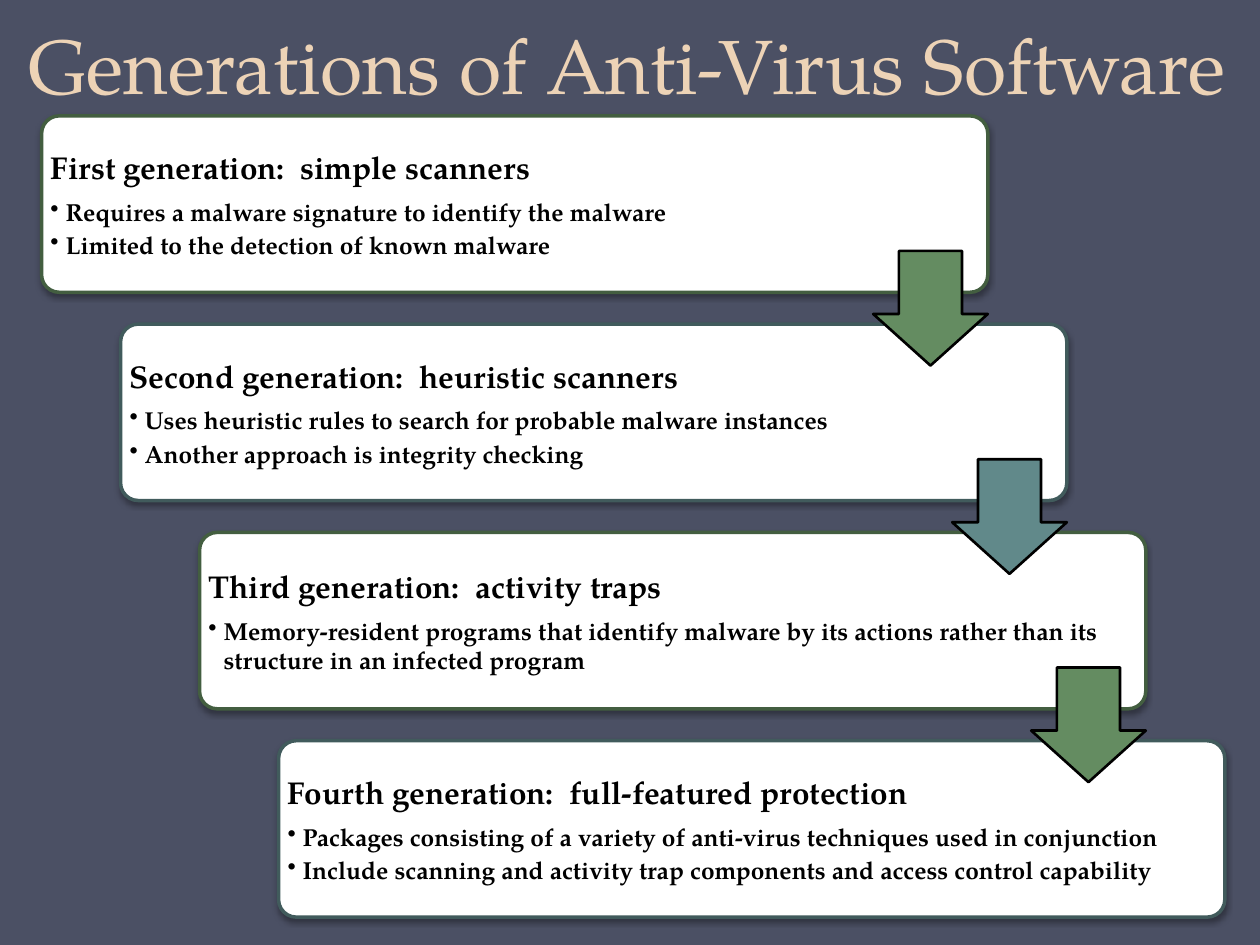
import dataclasses

import lxml.etree
import pptx
import pptx.dml.color
import pptx.enum.shapes
import pptx.enum.text
import pptx.oxml.ns
import pptx.util

SHAPES = pptx.enum.shapes.MSO_SHAPE
ANCHOR = pptx.enum.text.MSO_ANCHOR
ALIGN = pptx.enum.text.PP_ALIGN
Inches = pptx.util.Inches
Pt = pptx.util.Pt


@dataclasses.dataclass(frozen=True)
class Theme:
    font: str = "TeX Gyre Pagella"
    background: str = "4B5064"
    title: str = "EDD3B6"
    ink: str = "000000"
    card: str = "FFFFFF"
    title_size: int = 44
    heading_size: int = 18
    bullet_size: int = 14


@dataclasses.dataclass(frozen=True)
class Accent:
    border: str
    arrow: str


@dataclasses.dataclass(frozen=True)
class Generation:
    heading: str
    bullets: tuple[str, ...]


@dataclasses.dataclass(frozen=True)
class Staircase:
    """Cards of equal size, each one step right of and below the last (inches)."""
    left: float = 0.33
    top: float = 0.92
    step_x: float = 0.627
    step_y: float = 1.653
    width: float = 7.51
    height: float = 1.4
    arrow: float = 0.91

    def card(self, row: int) -> tuple[float, float, float, float]:
        return (self.left + row * self.step_x, self.top + row * self.step_y,
                self.width, self.height)

    def arrow_below(self, row: int) -> tuple[float, float, float, float]:
        """Flush with the card's right side, centred on the gap to the next card."""
        left, top, width, height = self.card(row)
        gap_middle = top + (height + self.step_y) / 2
        return (left + width - self.arrow, gap_middle - self.arrow / 2,
                self.arrow, self.arrow)


THEME = Theme()
STAIRS = Staircase()
GREEN = Accent("435E40", "648C61")
TEAL = Accent("415B5C", "61898A")
ACCENTS = (GREEN, TEAL)

GENERATIONS = (
    Generation("First generation:  simple scanners", (
        "Requires a malware signature to identify the malware",
        "Limited to the detection of known malware")),
    Generation("Second generation:  heuristic scanners", (
        "Uses heuristic rules to search for probable malware instances",
        "Another approach is integrity checking")),
    Generation("Third generation:  activity traps", (
        "Memory-resident programs that identify malware by its actions "
        "rather than its structure in an infected program",)),
    Generation("Fourth generation:  full-featured protection", (
        "Packages consisting of a variety of anti-virus techniques used in conjunction",
        "Include scanning and activity trap components and access control capability")),
)


def rgb(value: str) -> pptx.dml.color.RGBColor:
    return pptx.dml.color.RGBColor.from_string(value)


def add_child(parent, tag: str, **attributes: object):
    child = lxml.etree.SubElement(parent, pptx.oxml.ns.qn(tag))
    for name, value in attributes.items():
        child.set(name, str(value))
    return child


def add_span(para, text: str, size: int, color: str, bold: bool = False) -> None:
    span = para.add_run()
    span.text = text
    span.font.name = THEME.font
    span.font.size = Pt(size)
    span.font.bold = bold
    span.font.color.rgb = rgb(color)


def add_outlined(page, kind, place: tuple[float, float, float, float],
                 adjustments: tuple[float, ...], fill: str, line: str, weight: float):
    shape = page.shapes.add_shape(kind, *map(Inches, place))
    for index, value in enumerate(adjustments):
        shape.adjustments[index] = value
    shape.shadow.inherit = False
    shape.fill.solid()
    shape.fill.fore_color.rgb = rgb(fill)
    shape.line.color.rgb = rgb(line)
    shape.line.width = Pt(weight)
    return shape


def cast_shadow(shape) -> None:
    effects = shape._element.spPr.find(pptx.oxml.ns.qn("a:effectLst"))
    shadow = add_child(effects, "a:outerShdw", blurRad=Pt(3.1), dist=Pt(1.8),
                       dir=90 * 60000, rotWithShape=0)
    color = add_child(shadow, "a:srgbClr", val=THEME.ink)
    add_child(color, "a:alpha", val=35000)


def make_bullet(para) -> None:
    properties = para._p.get_or_add_pPr()
    properties.set("lvl", "1")
    properties.set("marL", str(Inches(0.12)))
    properties.set("indent", str(-Inches(0.12)))
    add_child(properties, "a:buChar", char="•")


def add_title(page, text: str) -> None:
    box = page.shapes.add_textbox(Inches(-0.02), 0, Inches(10), Inches(0.92))
    frame = box.text_frame
    frame.word_wrap = True
    frame.vertical_anchor = ANCHOR.BOTTOM
    para = frame.paragraphs[0]
    para.alignment = ALIGN.CENTER
    para.line_spacing = Pt(58)
    add_span(para, text, THEME.title_size, THEME.title)


def add_card(page, row: int, generation: Generation, accent: Accent) -> None:
    card = add_outlined(page, SHAPES.ROUNDED_RECTANGLE, STAIRS.card(row), (0.1,),
                        THEME.card, accent.border, 2)
    cast_shadow(card)
    frame = card.text_frame
    frame.word_wrap = True
    frame.vertical_anchor = ANCHOR.MIDDLE
    # The rounded corners already inset the text by 0.04
    frame.margin_left = frame.margin_right = Inches(0.03)
    frame.margin_top = frame.margin_bottom = Inches(0.03)

    para = frame.paragraphs[0]
    para.alignment = ALIGN.LEFT
    para.space_after = Pt(0.35 * THEME.heading_size)
    add_span(para, generation.heading, THEME.heading_size, THEME.ink, bold=True)
    for bullet in generation.bullets:
        para = frame.add_paragraph()
        para.alignment = ALIGN.LEFT
        para.space_after = Pt(0.15 * THEME.bullet_size)
        make_bullet(para)
        add_span(para, bullet, THEME.bullet_size, THEME.ink, bold=True)


def main() -> None:
    deck = pptx.Presentation()
    deck.slide_width, deck.slide_height = Inches(10), Inches(7.5)
    page = deck.slides.add_slide(deck.slide_layouts[6])
    page.background.fill.solid()
    page.background.fill.fore_color.rgb = rgb(THEME.background)

    add_title(page, "Generations of Anti-Virus Software")

    # Cards first, so that the arrows lie over them
    for row, generation in enumerate(GENERATIONS):
        add_card(page, row, generation, ACCENTS[row % 2])
    for row in range(len(GENERATIONS) - 1):
        add_outlined(page, SHAPES.DOWN_ARROW, STAIRS.arrow_below(row), (0.55, 0.45),
                     ACCENTS[row % 2].arrow, THEME.ink, 1.5)

    deck.save("out.pptx")


if __name__ == "__main__":
    main()
